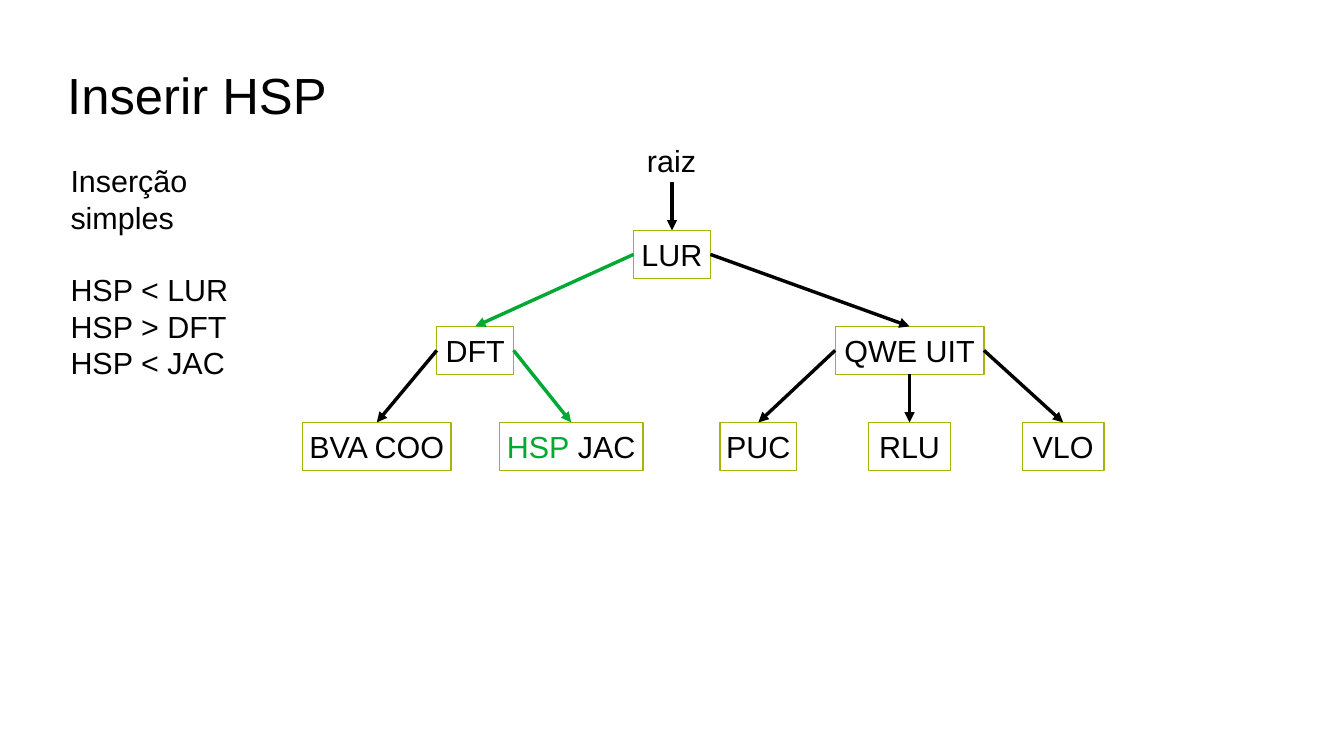
from dataclasses import dataclass

from lxml import etree
from pptx import Presentation
from pptx.dml.color import RGBColor
from pptx.enum import shapes, text
from pptx.oxml.ns import qn
from pptx.util import Cm, Pt

TITLE = "Inserir HSP"
NOTES = ["Inserção simples", "HSP < LUR", "HSP > DFT", "HSP < JAC"]
ROOT_LABEL = "raiz"
INSERTED = "HSP"
NODES = {
    "LUR": (0, 14.0, 1.6),
    "DFT": (1, 9.9, 1.6),
    "QWE UIT": (1, 18.95, 3.1),
    "BVA COO": (2, 7.85, 3.1),
    "HSP JAC": (2, 11.9, 3.0),
    "PUC": (2, 15.8, 1.6),
    "RLU": (2, 18.95, 1.7),
    "VLO": (2, 22.15, 1.7),
}
EDGES = [
    ("LUR", "left", "DFT"),
    ("LUR", "right", "QWE UIT"),
    ("DFT", "left", "BVA COO"),
    ("DFT", "right", "HSP JAC"),
    ("QWE UIT", "left", "PUC"),
    ("QWE UIT", "bottom", "RLU"),
    ("QWE UIT", "right", "VLO"),
]
SEARCH_PATH = ["LUR", "DFT", "HSP JAC"]
SITES = {"top": 0, "left": 1, "bottom": 2, "right": 3}
TREE_TOP, LEVEL_STEP, NODE_HEIGHT = 4.8, 2.0, 1.0


@dataclass(frozen=True)
class Theme:
    font: str = "Arial"
    title: Pt = Pt(30)
    body: Pt = Pt(18)
    blank_line: Pt = Pt(21)
    hairline: Pt = Pt(0)
    ink: RGBColor = RGBColor(0, 0, 0)
    paper: RGBColor = RGBColor(255, 255, 255)
    border: RGBColor = RGBColor(0xAC, 0xB2, 0x0C)
    accent: RGBColor = RGBColor(0x00, 0xA9, 0x33)


THEME = Theme()


def style(p, size, align=text.PP_ALIGN.LEFT):
    p.font.name, p.font.size = THEME.font, size
    p.font.color.rgb = THEME.ink
    p.alignment = align


def add_label(s, lines, left, top, width, height):
    sp = s.shapes.add_textbox(Cm(left), Cm(top), Cm(width), Cm(height))
    tf = sp.text_frame
    tf.word_wrap = False
    tf.auto_size = text.MSO_AUTO_SIZE.SHAPE_TO_FIT_TEXT
    tf.text = "\n".join(lines)
    for p in tf.paragraphs:
        style(p, THEME.body)
    return sp


def add_node(s, keys, level, center, width):
    sp = s.shapes.add_shape(
        shapes.MSO_SHAPE.RECTANGLE, Cm(center - width / 2),
        Cm(TREE_TOP + level * LEVEL_STEP), Cm(width), Cm(NODE_HEIGHT))
    sp.shadow.inherit = False
    sp.fill.solid()
    sp.fill.fore_color.rgb = THEME.paper
    sp.line.color.rgb = THEME.border
    sp.line.width = THEME.hairline
    tf = sp.text_frame
    tf.word_wrap = False
    tf.vertical_anchor = text.MSO_ANCHOR.MIDDLE
    p = tf.paragraphs[0]
    style(p, THEME.body, text.PP_ALIGN.CENTER)
    before, found, after = keys.partition(INSERTED)
    for part in filter(None, (before, found, after)):
        r = p.add_run()
        r.text = part
        if part == INSERTED:
            r.font.color.rgb = THEME.accent
    return sp


def add_arrow(s, parent, side, child, color):
    line = s.shapes.add_connector(shapes.MSO_CONNECTOR.STRAIGHT, 0, 0, 0, 0)
    line.begin_connect(parent, SITES[side])
    line.end_connect(child, SITES["top"])
    line.line.color.rgb = color
    line.line.width = THEME.hairline
    etree.SubElement(line.line._get_or_add_ln(), qn("a:tailEnd"), type="triangle")
    etree.SubElement(line._element.spPr, qn("a:effectLst"))


def main():
    prs = Presentation()
    prs.slide_width, prs.slide_height = Cm(28), Cm(15.75)
    s = prs.slides.add_slide(prs.slide_layouts[5])

    title = s.shapes.title
    title.left, title.top, title.width, title.height = Cm(1.4), Cm(0.64), Cm(25.2), Cm(2.64)
    tf = title.text_frame
    tf.text = TITLE
    tf.margin_left = tf.margin_top = tf.margin_right = tf.margin_bottom = 0
    tf.vertical_anchor = text.MSO_ANCHOR.MIDDLE
    style(tf.paragraphs[0], THEME.title)

    notes = add_label(s, NOTES, 1.22, 3.26, 5.26, 3.8)
    notes.text_frame.paragraphs[1].space_before = THEME.blank_line

    root = add_label(s, [ROOT_LABEL], 13.23, 2.84, 1.54, 0.96)
    nodes = {keys: add_node(s, keys, *place) for keys, place in NODES.items()}

    add_arrow(s, root, "bottom", nodes["LUR"], THEME.ink)
    steps = list(zip(SEARCH_PATH, SEARCH_PATH[1:]))
    for parent, side, child in EDGES:
        color = THEME.accent if (parent, child) in steps else THEME.ink
        add_arrow(s, nodes[parent], side, nodes[child], color)

    prs.save("out.pptx")


if __name__ == "__main__":
    main()
